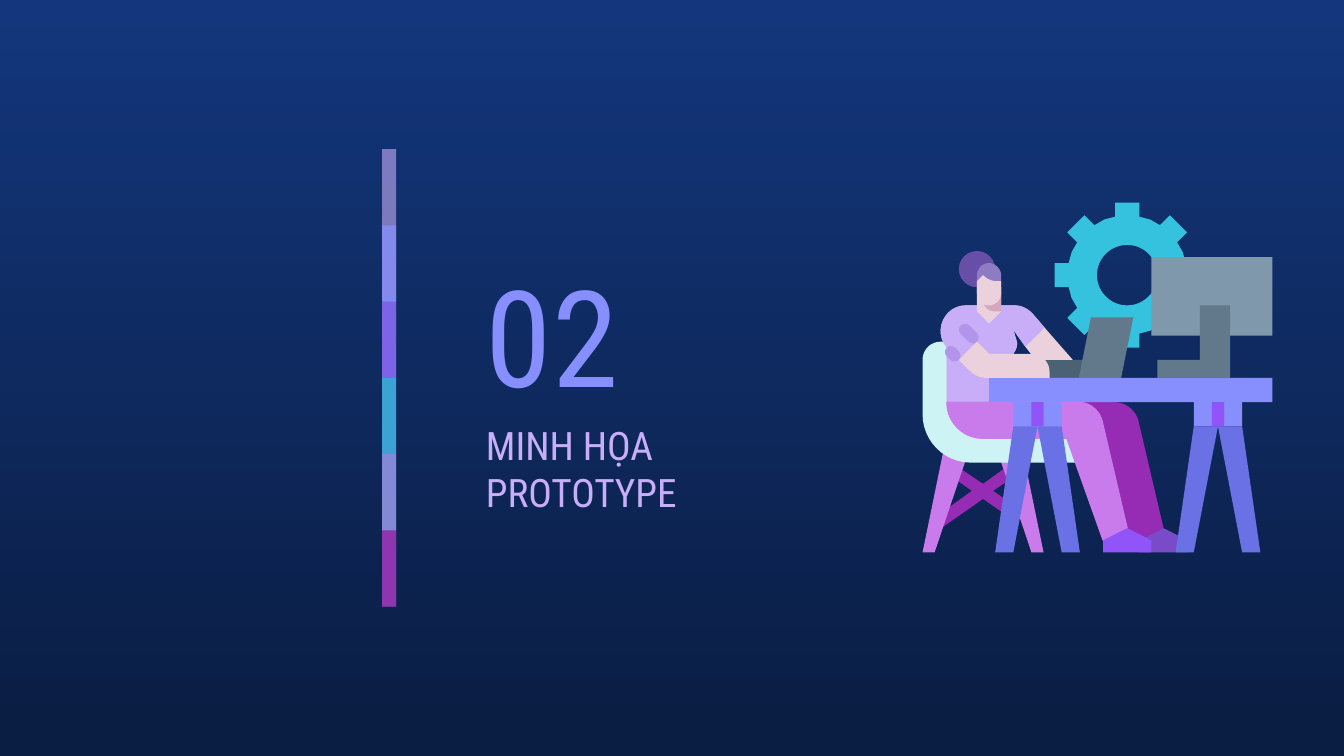
import math

from lxml import etree
from pptx import Presentation
from pptx.dml.color import RGBColor
from pptx.enum import shapes, text
from pptx.oxml.ns import qn
from pptx.util import Inches, Pt

FONT = "Roboto Condensed"
NAVY_TOP = RGBColor(0x13, 0x36, 0x7C)
NAVY_BOTTOM = RGBColor(0x0A, 0x1D, 0x42)
LILAC = RGBColor(0xC8, 0xAE, 0xF8)
LILAC_DARK = RGBColor(0xB3, 0x94, 0xEB)
PERIWINKLE = RGBColor(0x87, 0x8F, 0xFF)
INDIGO = RGBColor(0x69, 0x71, 0xE5)
VIOLET = RGBColor(0x91, 0x54, 0xF8)
SHOE_DARK = RGBColor(0x79, 0x4B, 0xC8)
CYAN = RGBColor(0x35, 0xC2, 0xDF)
ICE = RGBColor(0xCE, 0xF3, 0xF5)
ORCHID = RGBColor(0xCA, 0x7B, 0xEB)
PURPLE = RGBColor(0x97, 0x2C, 0xB4)
SKIN = RGBColor(0xEA, 0xD1, 0xDC)
SKIN_SHADE = RGBColor(0xD5, 0xA6, 0xBD)
BUN = RGBColor(0x67, 0x4E, 0xA7)
HAIR = RGBColor(0x8E, 0x7C, 0xC3)
STEEL_LIGHT = RGBColor(0x80, 0x98, 0xAB)
STEEL = RGBColor(0x62, 0x79, 0x8C)
STEEL_DARK = RGBColor(0x4B, 0x62, 0x75)

# Torso outline; a six-number entry is a cubic curve
TORSO = [(9.58, 3.03), (9.37, 3.03, 9.25, 3.28, 9.39, 3.45), (9.39, 3.99),
         (10.05, 3.99), (10.05, 3.51), (10.08, 3.47, 10.1, 3.42, 10.08, 3.37),
         (10.05, 3.27), (10.17, 3.44)]
FAR_HAND = [(10.27, 3.57), (10.64, 3.57)]
SHOULDER = [(10.36, 3.25), (10.24, 3.11), (10.19, 3.06, 10.13, 3.03, 10.06, 3.03)]


def paint(sp, color, alpha=None):
    sp.shadow.inherit = False
    sp.fill.solid()
    sp.fill.fore_color.rgb = color
    sp.line.fill.background()
    if alpha is not None:
        clr = sp.fill._xPr.find(".//" + qn("a:srgbClr"))
        etree.SubElement(clr, qn("a:alpha"), val=str(alpha * 1000))
    return sp


def preset(group, kind, left, top, width, height, color, alpha=None):
    sp = group.shapes.add_shape(kind, Inches(left), Inches(top), Inches(width), Inches(height))
    return paint(sp, color, alpha)


def rect(group, *args):
    return preset(group, shapes.MSO_SHAPE.RECTANGLE, *args)


def flatten(outline, steps=12):
    """Turn corners and cubic curves into a list of points."""
    pts = []
    for entry in outline:
        if len(entry) == 2:
            pts.append(entry)
            continue
        x0, y0 = pts[-1]
        x1, y1, x2, y2, x3, y3 = entry
        for i in range(1, steps + 1):
            t = i / steps
            a, b, c, d = (1 - t) ** 3, 3 * t * (1 - t) ** 2, 3 * t * t * (1 - t), t ** 3
            pts.append((a * x0 + b * x1 + c * x2 + d * x3, a * y0 + b * y1 + c * y2 + d * y3))
    return pts


def outline(group, color, *contours):
    builder = None
    for contour in contours:
        pts = [(Inches(x), Inches(y)) for x, y in flatten(contour)]
        if builder is None:
            builder = group.shapes.build_freeform(*pts[0])
        else:
            builder.move_to(*pts[0])
        builder.add_line_segments(pts[1:], close=True)
    return paint(builder.convert_to_shape(), color)


def mirror(pts, axis):
    return [(2 * axis - x, y) for x, y in pts]


def gear(group, cx, cy):
    tooth = [(-0.12, -0.58), (-0.12, -0.72), (0.12, -0.72), (0.12, -0.58), (0.23, -0.55)]
    rim, hole = [], []
    for i in range(8):
        c, s = math.cos(i * math.pi / 4), math.sin(i * math.pi / 4)
        rim += [(cx + x * c - y * s, cy + x * s + y * c) for x, y in tooth]
    for i in range(48):
        a = i * math.pi / 24
        hole.append((cx + 0.3 * math.cos(a), cy + 0.3 * math.sin(a)))
    outline(group, CYAN, rim, hole)


def leg(group, dx, ankle, leg_color, shoe_color):
    sp = outline(group, leg_color, [
        (9.39 + (dx and 0.36), 3.99),
        (9.39 + dx, 4.19, 9.55 + dx, 4.35, 9.75 + dx, 4.35), (10.58 + dx, 4.35),
        (ankle, 5.36), (10.94 + dx, 5.36), (11.18 + dx, 5.24), (10.93 + dx, 4.17),
        (10.9 + dx, 4.07, 10.81 + dx, 3.99, 10.69 + dx, 3.99)])
    outline(group, shoe_color, [
        (11.18 + dx, 5.24), (10.94 + dx, 5.36), (10.94 + dx, 5.48),
        (11.42 + dx, 5.48), (11.42 + dx, 5.36)])
    return sp


def trestle(group, cx):
    rect(group, cx - 0.24, 3.99, 0.48, 0.24, PERIWINKLE)
    rect(group, cx - 0.06, 3.99, 0.12, 0.24, VIOLET)
    left = [(cx - 0.24, 4.23), (cx - 0.42, 5.48), (cx - 0.24, 5.48), (cx, 4.23)]
    for pts in (left, mirror(left, cx)):
        outline(group, INDIGO, pts)


def sleeve_band(group, cx, cy, length):
    sp = preset(group, shapes.MSO_SHAPE.ROUNDED_RECTANGLE,
                cx - length / 2, cy - 0.06, length, 0.12, LILAC_DARK)
    sp.adjustments[0] = 0.5
    sp.rotation = 45


def chair(group):
    outline(group, PURPLE, [
        (9.48, 4.62), (9.41, 4.71), (9.64, 4.87), (9.25, 5.15), (9.32, 5.25), (9.75, 4.95),
        (9.98, 5.11), (10.05, 5.01), (9.85, 4.87), (10.07, 4.72), (10, 4.62), (9.75, 4.8)])
    right = [(9.87, 4.41), (10.23, 5.48), (10.35, 5.48), (10.13, 4.41)]
    for pts in (right, mirror(right, 9.75)):
        outline(group, ORCHID, pts)
    outline(group, ICE, [
        (9.33, 3.39), (9.23, 3.39, 9.15, 3.47, 9.15, 3.57), (9.15, 4.11),
        (9.15, 4.37, 9.36, 4.59, 9.63, 4.59), (10.76, 4.59), (10.76, 4.29), (9.75, 4.29),
        (9.58, 4.29, 9.45, 4.15, 9.45, 3.99), (9.45, 3.39)])


def head(group):
    outline(group, SKIN_SHADE, [(9.75, 2.85), (9.75, 2.97),
                                (9.75, 3.04, 9.8, 3.09, 9.87, 3.09), (9.93, 3.09), (9.93, 2.85)])
    preset(group, shapes.MSO_SHAPE.OVAL, 9.51, 2.49, 0.36, 0.36, BUN)
    outline(group, HAIR, [
        (9.81, 2.61), (9.74, 2.61, 9.69, 2.67, 9.69, 2.73), (9.69, 2.85), (9.93, 2.85),
        (9.93, 2.73), (9.93, 2.67, 9.87, 2.61, 9.81, 2.61)])
    outline(group, SKIN, [
        (9.75, 2.73), (9.69, 2.79), (9.69, 2.91), (9.69, 2.98, 9.74, 3.03, 9.81, 3.03),
        (9.87, 3.03, 9.93, 2.98, 9.93, 2.91), (9.93, 2.79), (9.89, 2.79),
        (9.84, 2.79, 9.79, 2.77, 9.75, 2.73)])


def workplace(group):
    gear(group, 11.18, 2.73)
    rect(group, 10.35, 3.57, 0.41, 0.18, STEEL_DARK)
    chair(group)
    leg(group, 0.36, 11.18, PURPLE, SHOE_DARK)
    # Upper body and tabletop
    outline(group, SKIN, TORSO + FAR_HAND + SHOULDER)
    outline(group, LILAC, TORSO + SHOULDER)
    rect(group, 9.81, 3.75, 2.81, 0.24, PERIWINKLE)
    sleeve_band(group, 9.45, 3.51, 0.17)
    sleeve_band(group, 9.61, 3.31, 0.23)
    outline(group, SKIN, [(9.69, 2.85), (9.69, 3.09), (9.81, 3.21), (9.93, 3.09), (9.93, 2.85)])
    outline(group, SKIN, [
        (9.69, 3.39), (9.51, 3.57), (9.62, 3.68), (9.66, 3.72, 9.72, 3.75, 9.79, 3.75),
        (10.41, 3.75), (10.41, 3.69), (10.41, 3.59, 10.33, 3.51, 10.23, 3.51), (9.81, 3.51)])
    # Laptop, near leg, monitor
    outline(group, STEEL, [(10.82, 3.15), (10.7, 3.75), (11.12, 3.75), (11.24, 3.15)])
    near = leg(group, 0, 10.94, ORCHID, VIOLET)
    near.line.color.rgb = ORCHID
    near.line.width = Pt(0.75)
    rect(group, 11.42, 2.55, 1.2, 0.78, STEEL_LIGHT)
    outline(group, STEEL, [(11.9, 3.03), (11.9, 3.57), (11.48, 3.57), (11.48, 3.75),
                           (12.2, 3.75), (12.2, 3.03)])
    for cx in (12.08, 10.29):
        trestle(group, cx)
    head(group)


def color_bar(group):
    top, bottom = 1.48, 6.02
    bands = [(LILAC, 59), (PERIWINKLE, 74), (VIOLET, 53), (CYAN, 76), (ORCHID, 56), (PURPLE, 74)]
    pitch = (bottom - top) / len(bands)
    for i, (color, alpha) in enumerate(bands):
        y = top + i * pitch
        rect(group, 3.79, y, 0.14, min(2 * pitch, bottom - y), color, alpha)


def heading(ph, words, left, top, width, height, size, color):
    ph.left, ph.top, ph.width, ph.height = (Inches(v) for v in (left, top, width, height))
    tf = ph.text_frame
    tf.text = words
    tf.word_wrap = True
    tf.auto_size = text.MSO_AUTO_SIZE.NONE
    tf.vertical_anchor = text.MSO_ANCHOR.MIDDLE
    tf.margin_left = tf.margin_right = tf.margin_top = tf.margin_bottom = Inches(0.13)
    p = tf.paragraphs[0]
    p.alignment = text.PP_ALIGN.LEFT
    p.space_before = Pt(0)
    font = p.runs[0].font
    font.name, font.size, font.color.rgb = FONT, Pt(size), color


def main():
    prs = Presentation()
    prs.slide_width, prs.slide_height = Inches(13.33), Inches(7.5)
    s = prs.slides.add_slide(prs.slide_layouts[0])
    # Background, dark towards the bottom
    fill = s.background.fill
    fill.gradient()
    fill.gradient_angle = 270
    for stop, color in zip(fill.gradient_stops, (NAVY_TOP, NAVY_BOTTOM)):
        stop.color.rgb = color
    # Section name and number
    heading(s.shapes.title, "MINH HỌA PROTOTYPE", 4.69, 4.2, 3.82, 0.89, 28, LILAC)
    heading(s.placeholders[1], "02", 4.69, 2.41, 2.33, 1.8, 96, PERIWINKLE)
    # Decoration
    color_bar(s.shapes.add_group_shape())
    workplace(s.shapes.add_group_shape())
    prs.save("out.pptx")


if __name__ == "__main__":
    main()
